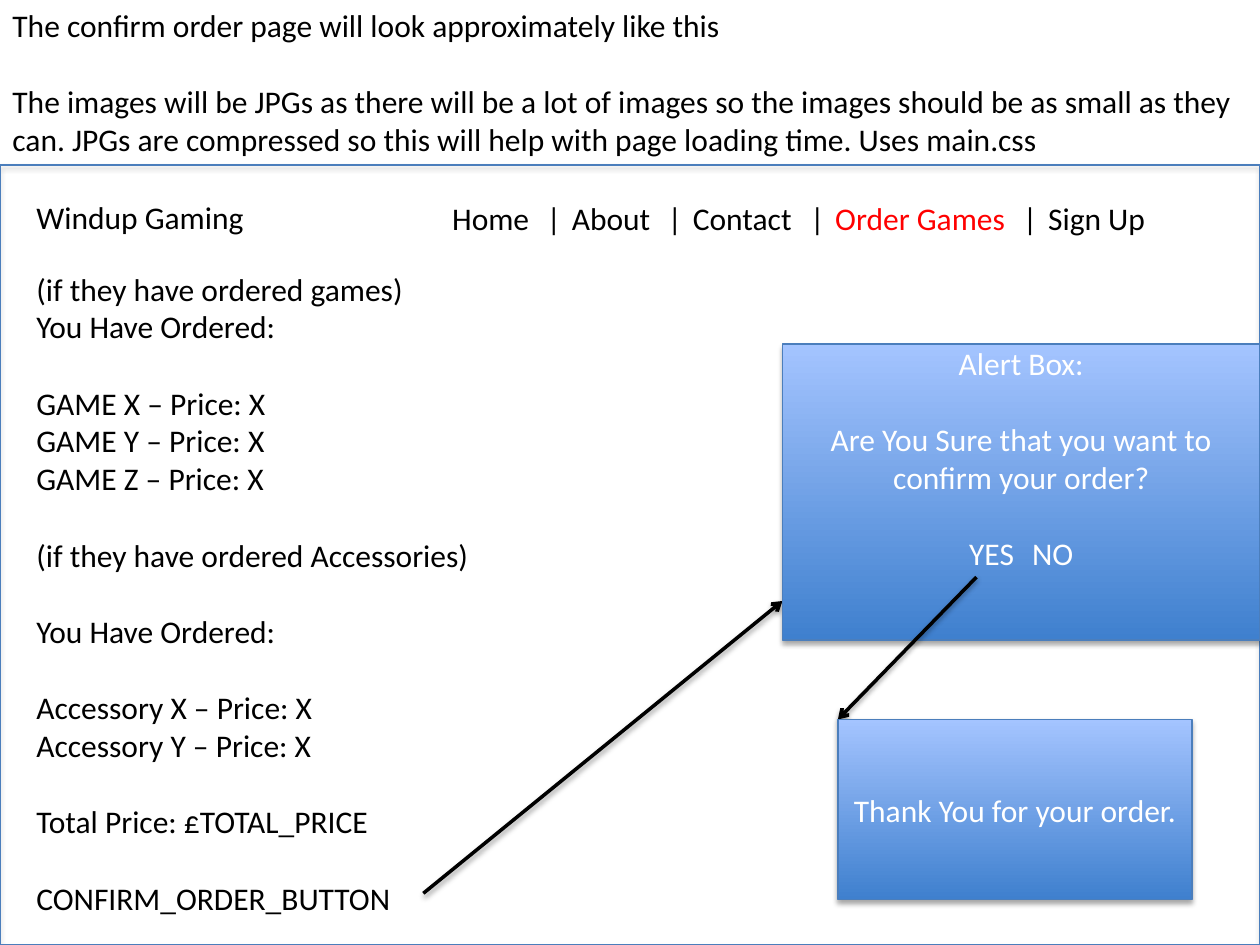
"""Build the confirm order page mock-up slide."""
from lxml import etree
from pptx import Presentation, util as u
from pptx.dml import color
from pptx.enum import shapes, text
from pptx.oxml import ns

COLORS = {"ink": "000000", "light": "FFFFFF", "active": "FF0000",
          "border": "4B7EBC", "deep": "3F80CE", "pale": "A4C4FF"}


def rgb(name):
    """Return the named colour."""
    return color.RGBColor.from_string(COLORS[name])


def write(frame, groups, ink="ink", align=text.PP_ALIGN.LEFT, size=18, gap=22, accent=None):
    """Write groups of lines, with a gap before each later group."""
    lines = [(line, number > 0 and position == 0)
             for number, group in enumerate(groups)
             for position, line in enumerate(group)]
    for index, (line, spaced) in enumerate(lines):
        paragraph = frame.add_paragraph() if index else frame.paragraphs[0]
        paragraph.alignment = align
        if spaced:
            paragraph.space_before = u.Pt(gap)
        before, found, after = line.partition(accent) if accent else (line, "", "")
        for words, tone in ((before, ink), (found, "active"), (after, ink)):
            if words:
                run = paragraph.add_run()
                run.text = words
                run.font.name = "Calibri"
                run.font.size = u.Pt(size)
                run.font.color.rgb = rgb(tone)


class Page:
    """Hold the style and the current slide."""

    def __init__(self, slide):
        self.slide = slide

    def shadow(self, properties, alpha, distance):
        """Give a shape or connector a soft shadow below it."""
        effects = properties.find(ns.qn("a:effectLst"))
        if effects is None:
            effects = etree.SubElement(properties, ns.qn("a:effectLst"))
        outer = etree.SubElement(effects, ns.qn("a:outerShdw"), blurRad=str(u.Pt(3.1)),
                                 dist=str(u.Pt(distance)), dir="5400000", rotWithShape="0")
        tint = etree.SubElement(outer, ns.qn("a:srgbClr"), val=COLORS["ink"])
        etree.SubElement(tint, ns.qn("a:alpha"), val=str(alpha * 1000))

    def label(self, place, groups, wrap=True, **style):
        """Add a text box and return its frame."""
        frame = self.slide.shapes.add_textbox(*map(u.Inches, place)).text_frame
        frame.word_wrap = wrap
        frame.auto_size = text.MSO_AUTO_SIZE.SHAPE_TO_FIT_TEXT
        write(frame, groups, **style)
        return frame

    def box(self, place, groups=(), filled=True, anchor=text.MSO_ANCHOR.MIDDLE):
        """Add a bordered rectangle with centred text."""
        panel = self.slide.shapes.add_shape(shapes.MSO_SHAPE.RECTANGLE, *map(u.Inches, place))
        panel.shadow.inherit = False
        if filled:
            panel.fill.gradient()
            panel.fill.gradient_angle = 90
            for stop, tone in zip(panel.fill.gradient_stops, ("deep", "pale")):
                stop.color.rgb = rgb(tone)
        else:
            panel.fill.background()
        panel.line.color.rgb = rgb("border")
        panel.line.width = u.Pt(0.75)
        self.shadow(panel._element.spPr, 35, 1.8)
        frame = panel.text_frame
        frame.word_wrap = True
        frame.vertical_anchor = anchor
        if anchor == text.MSO_ANCHOR.TOP:
            frame.margin_top = 0
        write(frame, groups, ink="light", align=text.PP_ALIGN.CENTER)

    def arrow(self, start, end):
        """Add an arrow from start to end."""
        link = self.slide.shapes.add_connector(shapes.MSO_CONNECTOR.STRAIGHT,
                                               *map(u.Inches, start + end))
        link.line.color.rgb = rgb("ink")
        link.line.width = u.Pt(2)
        etree.SubElement(link.line._get_or_add_ln(), ns.qn("a:tailEnd"), type="arrow")
        self.shadow(link._element.spPr, 38, 1.6)

    def menu(self, place, items, stops, active):
        """Add a menu whose items and bars sit on tab stops."""
        frame = self.label(place, [["\t|\t".join(items)]], accent=active)
        properties = frame.paragraphs[0]._p.get_or_add_pPr()
        tabs = etree.SubElement(properties, ns.qn("a:tabLst"))
        for stop in stops:
            for position in (stop - 0.2, stop):
                etree.SubElement(tabs, ns.qn("a:tab"), pos=str(u.Inches(position)), algn="l")


def main():
    """Build and save the slide."""
    deck = Presentation()
    deck.slide_width, deck.slide_height = u.Inches(10), u.Inches(7.5)
    page = Page(deck.slides.add_slide(deck.slide_layouts[6]))

    page.label((0, 0, 9.98, 1.62), [
        ["The confirm order page will look approximately like this"],
        ["The images will be JPGs as there will be a lot of images so the images "
         "should be as small as they",
         "can. JPGs are compressed so this will help with page loading time. Uses main.css"],
    ], wrap=False)
    page.box((0, 1.31, 10, 6.19), filled=False)
    page.label((0.19, 1.52, 1.92, 0.4), [["Windup Gaming"]])
    page.menu((3.49, 1.53, 6.35, 0.4),
              ["Home", "About", "Contact", "Order Games", "Sign Up"],
              [0.95, 1.91, 3.04, 4.73], "Order Games")
    page.label((0.19, 2.09, 3.79, 5.25), [
        ["(if they have ordered games)", "You Have Ordered:"],
        [f"GAME {game} – Price: X" for game in "XYZ"],
        ["(if they have ordered Accessories)"],
        ["You Have Ordered:"],
        [f"Accessory {accessory} – Price: X" for accessory in "XY"],
        ["Total Price: £TOTAL_PRICE"],
        ["CONFIRM_ORDER_BUTTON"],
    ])
    page.arrow((3.36, 7.09), (6.21, 4.77))
    page.box((6.21, 2.73, 3.79, 2.35), [
        ["Alert Box:"],
        ["Are You Sure that you want to confirm your order?"],
        ["YES\tNO"],
    ], anchor=text.MSO_ANCHOR.TOP)
    page.arrow((7.75, 4.58), (6.65, 5.71))
    page.box((6.65, 5.71, 2.81, 1.43), [["Thank You for your order."]])
    deck.save("out.pptx")


if __name__ == "__main__":
    main()
